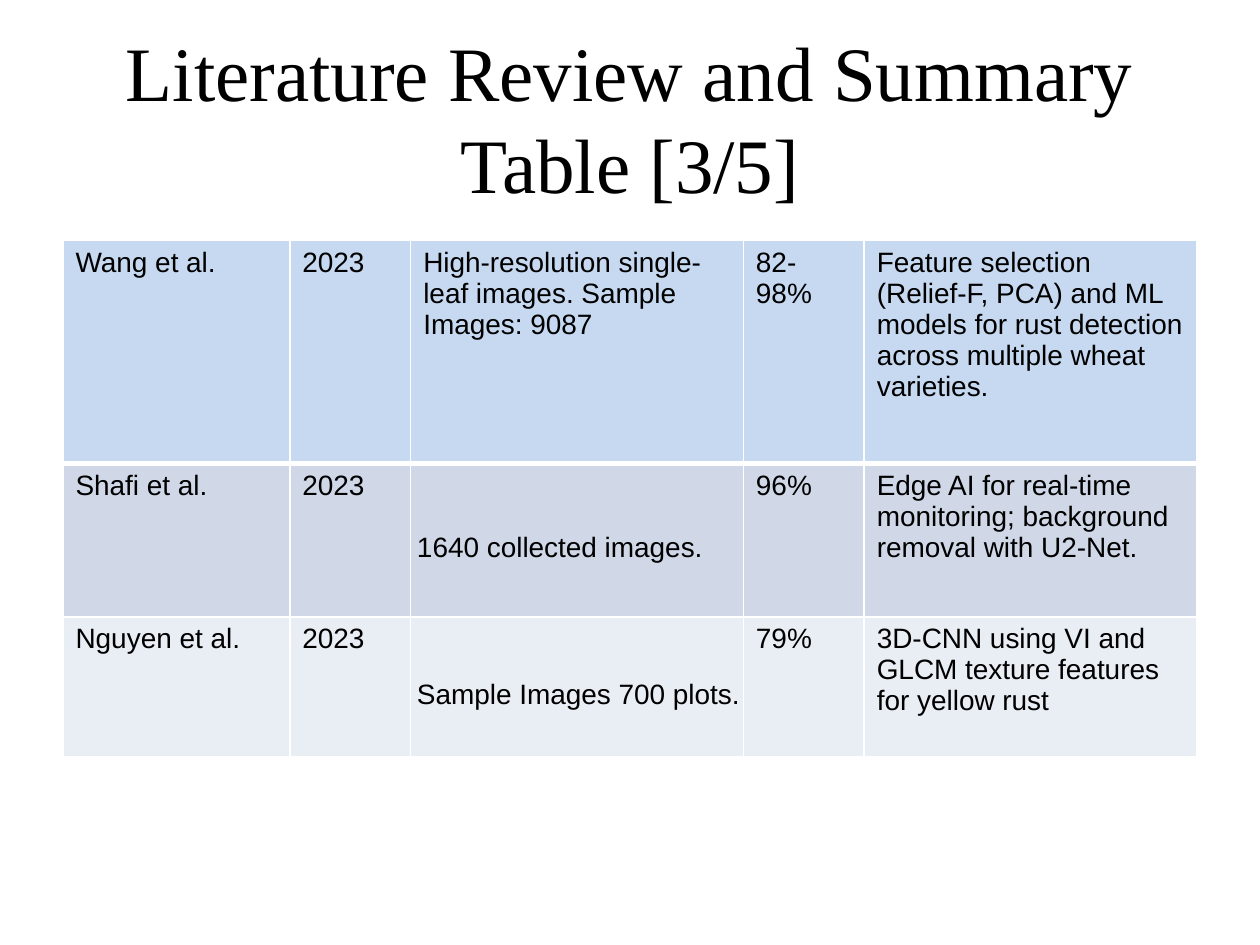
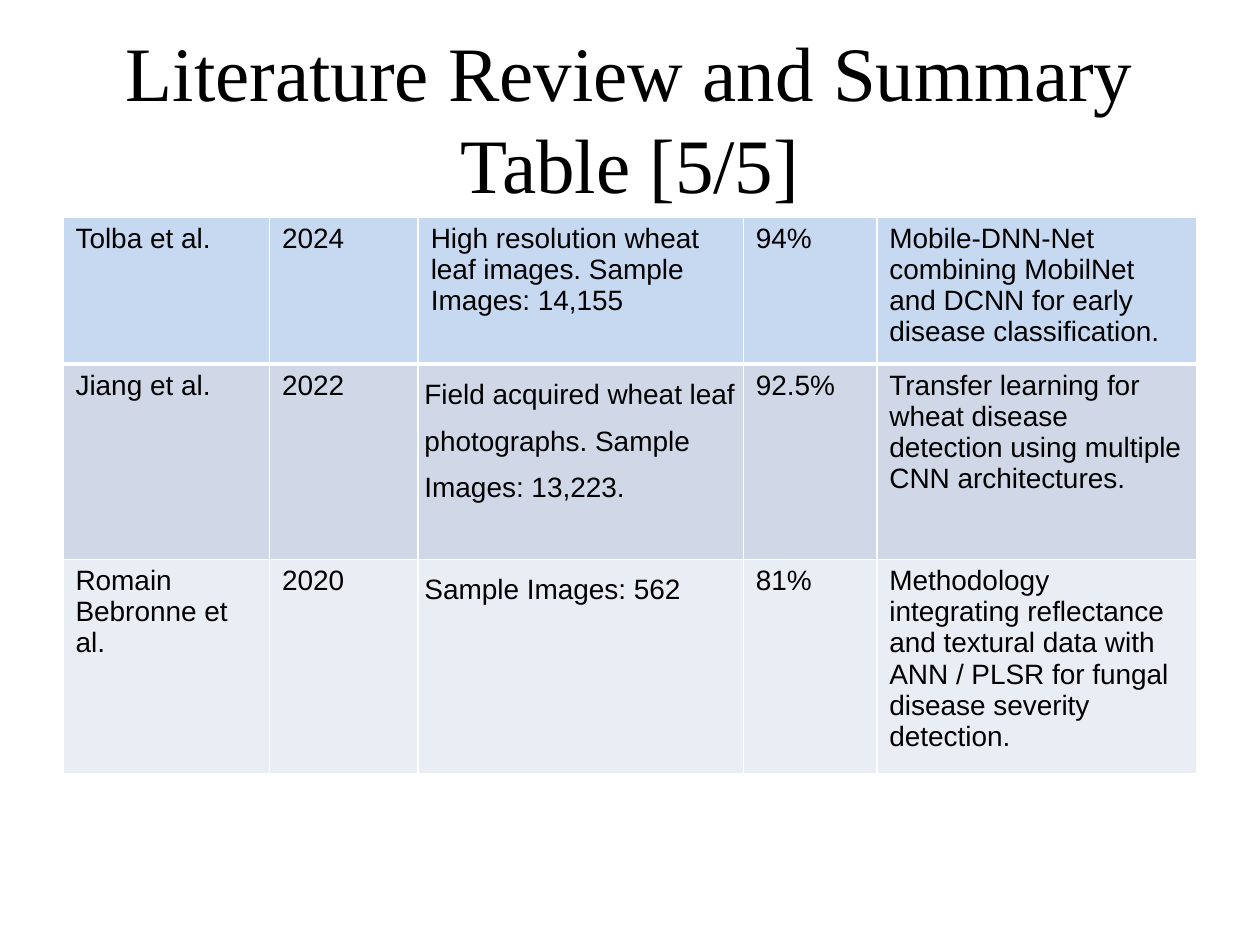
import pptx
import pptx.util
import pptx.dml.color
import pptx.enum.text
import pptx.oxml
import pptx.oxml.ns
from dataclasses import dataclass

Pt = pptx.util.Pt
Anchor = pptx.enum.text.MSO_ANCHOR


@dataclass(frozen=True)
class Theme:
    ink: str = "000000"
    border: str = "FFFFFF"
    row_fills: tuple = ("C6D9F1", "D0D8E8", "E9EDF4")
    title_font: str = "Times New Roman"
    body_font: str = "Arial"
    title_size: float = 44
    body_size: float = 16
    thin_line: float = 1
    thick_line: float = 3


THEME = Theme()
SLIDE_SIZE = (720, 540)
TITLE_BOX = (36, 21.6, 648, 90)
DATASET_COLUMN = 2

REVIEWS = [
    {
        "title": "Literature Review and Summary Table [3/5]",
        "corner": (36, 137.5),
        "widths": (129.6, 69.1, 190.1, 69.1, 190.1),
        "heights": (127.4, 87.8, 79.9),
        "dataset_anchor": Anchor.MIDDLE,
        "studies": [
            ("Wang et al.", "2023",
             "High-resolution single-leaf images. Sample Images: 9087", "82-98%",
             "Feature selection (Relief-F, PCA) and ML models for rust detection "
             "across multiple wheat varieties."),
            ("Shafi et al.", "2023", "1640 collected images.", "96%",
             "Edge AI for real-time monitoring; background removal with U2-Net."),
            ("Nguyen et al.", "2023", "Sample Images 700 plots.", "79%",
             "3D-CNN using VI and GLCM texture features for yellow rust"),
        ],
    },
    {
        "title": "Literature Review and Summary Table [5/5]",
        "corner": (36, 124),
        "widths": (118, 85, 185.8, 76.3, 182.9),
        "heights": (78, 111.6, 113),
        "dataset_anchor": Anchor.TOP,
        "studies": [
            ("Tolba et al.", "2024",
             "High resolution wheat leaf images. Sample Images: 14,155", "94%",
             "Mobile-DNN-Net combining MobilNet and DCNN for early disease "
             "classification."),
            ("Jiang et al.", "2022",
             "Field acquired wheat leaf photographs. Sample Images: 13,223.", "92.5%",
             "Transfer learning for wheat disease detection using multiple CNN "
             "architectures."),
            ("Romain Bebronne et al.", "2020", "Sample Images: 562", "81%",
             "Methodology integrating reflectance and textural data with ANN / PLSR "
             "for fungal disease severity detection."),
        ],
    },
]


def add_run(paragraph, text, font, size):
    run = paragraph.add_run()
    run.text = text
    run.font.name = font
    run.font.size = Pt(size)
    run.font.bold = False
    run.font.color.rgb = pptx.dml.color.RGBColor.from_string(THEME.ink)


def add_title(slide, text, box):
    frame = slide.shapes.add_textbox(*map(Pt, box)).text_frame
    frame.word_wrap = True
    frame.vertical_anchor = Anchor.MIDDLE
    paragraph = frame.paragraphs[0]
    paragraph.alignment = pptx.enum.text.PP_ALIGN.CENTER
    add_run(paragraph, text, THEME.title_font, THEME.title_size)


def set_borders(cell, top, bottom):
    """Draw all four edges; the schema wants them ahead of the cell fill."""
    thin = THEME.thin_line
    edges = (("lnL", thin), ("lnR", thin), ("lnT", top), ("lnB", bottom))
    properties = cell._tc.get_or_add_tcPr()
    for position, (edge, width) in enumerate(edges):
        line = pptx.oxml.parse_xml(
            f'<a:{edge} {pptx.oxml.ns.nsdecls("a")} w="{Pt(width)}">'
            f'<a:solidFill><a:srgbClr val="{THEME.border}"/></a:solidFill></a:{edge}>')
        properties.insert(position, line)


def style_dataset_cell(cell, anchor):
    cell.vertical_anchor = anchor
    cell.margin_left = Pt(3.6)
    cell.margin_top = cell.margin_right = cell.margin_bottom = 0
    cell.text_frame.paragraphs[0].line_spacing = 1.5


def add_study_table(slide, review):
    widths, heights = review["widths"], review["heights"]
    box = (*review["corner"], sum(widths), sum(heights))
    table = slide.shapes.add_table(len(heights), len(widths), *map(Pt, box)).table
    table.first_row = table.horz_banding = False
    for column, width in zip(table.columns, widths):
        column.width = Pt(width)
    for r, (study, height) in enumerate(zip(review["studies"], heights)):
        table.rows[r].height = Pt(height)
        top = THEME.thick_line if r == 1 else THEME.thin_line
        bottom = THEME.thick_line if r == 0 else THEME.thin_line
        for c, text in enumerate(study):
            cell = table.cell(r, c)
            cell.fill.solid()
            cell.fill.fore_color.rgb = pptx.dml.color.RGBColor.from_string(
                THEME.row_fills[r])
            set_borders(cell, top, bottom)
            add_run(cell.text_frame.paragraphs[0], text,
                    THEME.body_font, THEME.body_size)
            if r > 0 and c == DATASET_COLUMN:
                style_dataset_cell(cell, review["dataset_anchor"])


def add_review_slide(deck, review):
    slide = deck.slides.add_slide(deck.slide_layouts[6])
    add_title(slide, review["title"], TITLE_BOX)
    add_study_table(slide, review)


def main():
    deck = pptx.Presentation()
    deck.slide_width, deck.slide_height = map(Pt, SLIDE_SIZE)
    for review in REVIEWS:
        add_review_slide(deck, review)
    deck.save("out.pptx")


if __name__ == "__main__":
    main()
